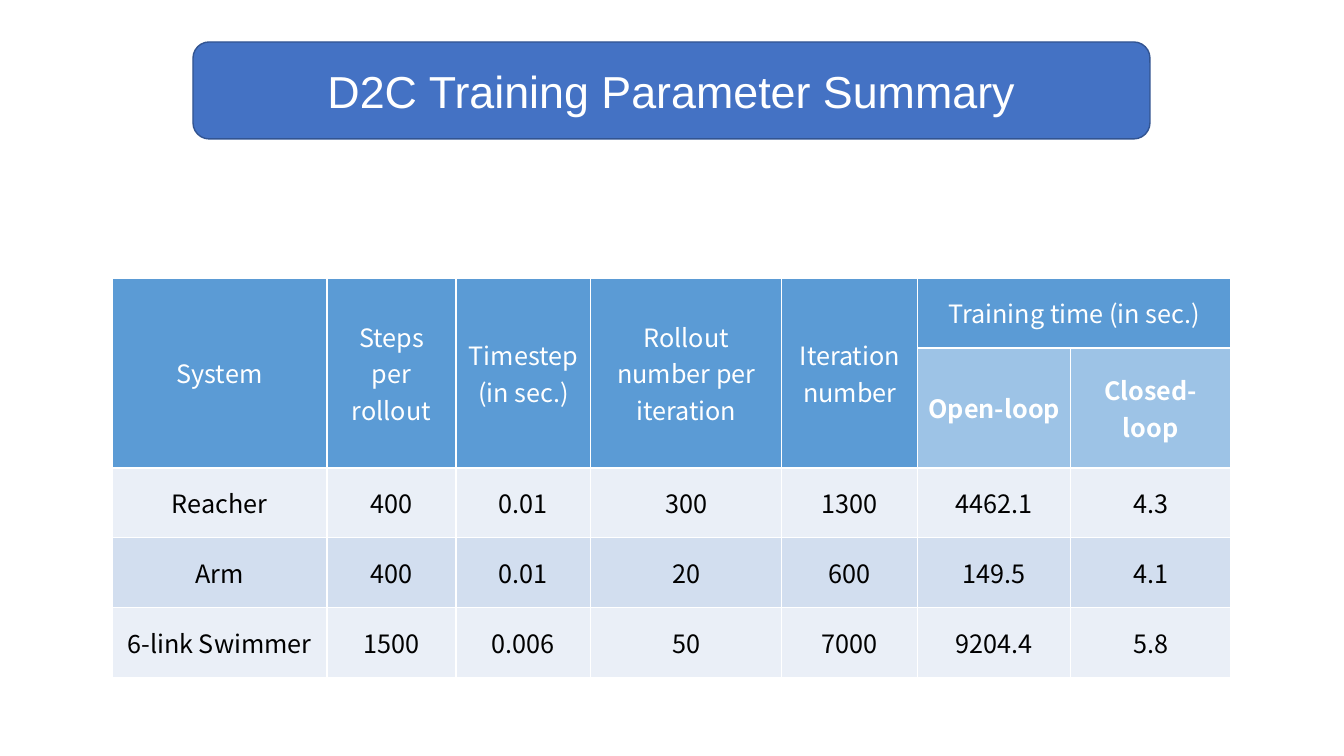
from dataclasses import dataclass

import pptx
import pptx.dml.color
import pptx.enum.shapes
import pptx.enum.text
import pptx.oxml
import pptx.oxml.ns
import pptx.slide
import pptx.table
import pptx.text.text
import pptx.util

SLIDE_W, SLIDE_H = 1344, 756
EMU_PER_PX = 12192000 / SLIDE_W


@dataclass(frozen=True)
class Theme:
    title_font: str = "Arial"
    table_font: str = "Noto Sans CJK SC"
    title_size: int = 32
    table_size: int = 18
    white: str = "FFFFFF"
    black: str = "000000"
    banner: str = "4472C4"
    banner_edge: str = "325491"
    header: str = "5B9BD5"
    subheader: str = "9DC3E6"
    bands: tuple[str, str] = ("EAEFF7", "D2DEEF")


@dataclass(frozen=True)
class CellSpec:
    row: int
    column: int
    text: str
    fill: str
    color: str
    bold: bool = False
    row_span: int = 1
    column_span: int = 1


THEME = Theme()
COLUMN_WIDTHS = (215, 129, 135, 191, 136, 153, 160)
ROW_HEIGHTS = (70, 120, 70, 70, 70)
TALL_HEADERS = (
    "System",
    "Steps per rollout",
    "Timestep\n(in sec.)",
    "Rollout number per iteration",
    "Iteration number",
)
LOOP_HEADERS = ("Open-loop", "Closed-loop")
SYSTEMS = (
    ("Reacher", "400", "0.01", "300", "1300", "4462.1", "4.3"),
    ("Arm", "400", "0.01", "20", "600", "149.5", "4.1"),
    ("6-link Swimmer", "1500", "0.006", "50", "7000", "9204.4", "5.8"),
)


def px(length: int) -> pptx.util.Emu:
    return pptx.util.Emu(round(length * EMU_PER_PX))


def rgb(color: str) -> pptx.dml.color.RGBColor:
    return pptx.dml.color.RGBColor.from_string(color)


def style_text(frame: pptx.text.text.TextFrame, font: str, size: int,
               color: str, bold: bool = False) -> None:
    for paragraph in frame.paragraphs:
        paragraph.alignment = pptx.enum.text.PP_ALIGN.CENTER
        for run in paragraph.runs:
            run.font.name = font
            run.font.size = pptx.util.Pt(size)
            run.font.bold = bold
            run.font.color.rgb = rgb(color)


def add_banner(slide: pptx.slide.Slide, text: str) -> None:
    banner = slide.shapes.add_shape(
        pptx.enum.shapes.MSO_SHAPE.ROUNDED_RECTANGLE,
        px(193), px(42), px(957), px(97))
    banner.shadow.inherit = False
    banner.fill.solid()
    banner.fill.fore_color.rgb = rgb(THEME.banner)
    banner.line.color.rgb = rgb(THEME.banner_edge)
    banner.line.width = pptx.util.Pt(1)
    banner.text_frame.text = text
    banner.text_frame.word_wrap = True
    banner.text_frame.vertical_anchor = pptx.enum.text.MSO_ANCHOR.MIDDLE
    style_text(banner.text_frame, THEME.title_font, THEME.title_size, THEME.white)


def add_borders(cell: pptx.table._Cell) -> None:
    """Draw a thin white line on all four sides."""
    properties = cell._tc.get_or_add_tcPr()
    for index, side in enumerate(("lnL", "lnR", "lnT", "lnB")):
        properties.insert(index, pptx.oxml.parse_xml(
            f'<a:{side} {pptx.oxml.ns.nsdecls("a")} w="{pptx.util.Pt(1)}">'
            f'<a:solidFill><a:srgbClr val="{THEME.white}"/></a:solidFill>'
            f'</a:{side}>'))


def parameter_cells() -> list[CellSpec]:
    first_loop = len(TALL_HEADERS)
    cells = [CellSpec(0, column, text, THEME.header, THEME.white, row_span=2)
             for column, text in enumerate(TALL_HEADERS)]
    cells.append(CellSpec(0, first_loop, "Training time (in sec.)",
                          THEME.header, THEME.white, column_span=2))
    cells += [CellSpec(1, column, text, THEME.subheader, THEME.white, bold=True)
              for column, text in enumerate(LOOP_HEADERS, first_loop)]
    cells += [CellSpec(row + 2, column, text, THEME.bands[row % 2], THEME.black)
              for row, system in enumerate(SYSTEMS)
              for column, text in enumerate(system)]
    return cells


def fill_cell(table: pptx.table.Table, spec: CellSpec) -> None:
    cell = table.cell(spec.row, spec.column)
    if spec.row_span > 1 or spec.column_span > 1:
        cell.merge(table.cell(spec.row + spec.row_span - 1,
                              spec.column + spec.column_span - 1))
    cell.fill.solid()
    cell.fill.fore_color.rgb = rgb(spec.fill)
    cell.vertical_anchor = pptx.enum.text.MSO_ANCHOR.MIDDLE
    cell.text_frame.text = spec.text
    style_text(cell.text_frame, THEME.table_font, THEME.table_size,
               spec.color, spec.bold)


def add_parameter_table(slide: pptx.slide.Slide) -> None:
    table = slide.shapes.add_table(
        len(ROW_HEIGHTS), len(COLUMN_WIDTHS), px(112), px(278),
        px(sum(COLUMN_WIDTHS)), px(sum(ROW_HEIGHTS))).table
    table.first_row = False
    table.horz_banding = False
    for column, width in zip(table.columns, COLUMN_WIDTHS):
        column.width = px(width)
    for row, height in zip(table.rows, ROW_HEIGHTS):
        row.height = px(height)
    for spec in parameter_cells():
        fill_cell(table, spec)
    for cell in table.iter_cells():
        add_borders(cell)


def main() -> None:
    presentation = pptx.Presentation()
    presentation.slide_width = px(SLIDE_W)
    presentation.slide_height = px(SLIDE_H)
    slide = presentation.slides.add_slide(presentation.slide_layouts[6])
    add_parameter_table(slide)
    add_banner(slide, "D2C Training Parameter Summary")
    presentation.save("out.pptx")


if __name__ == "__main__":
    main()
